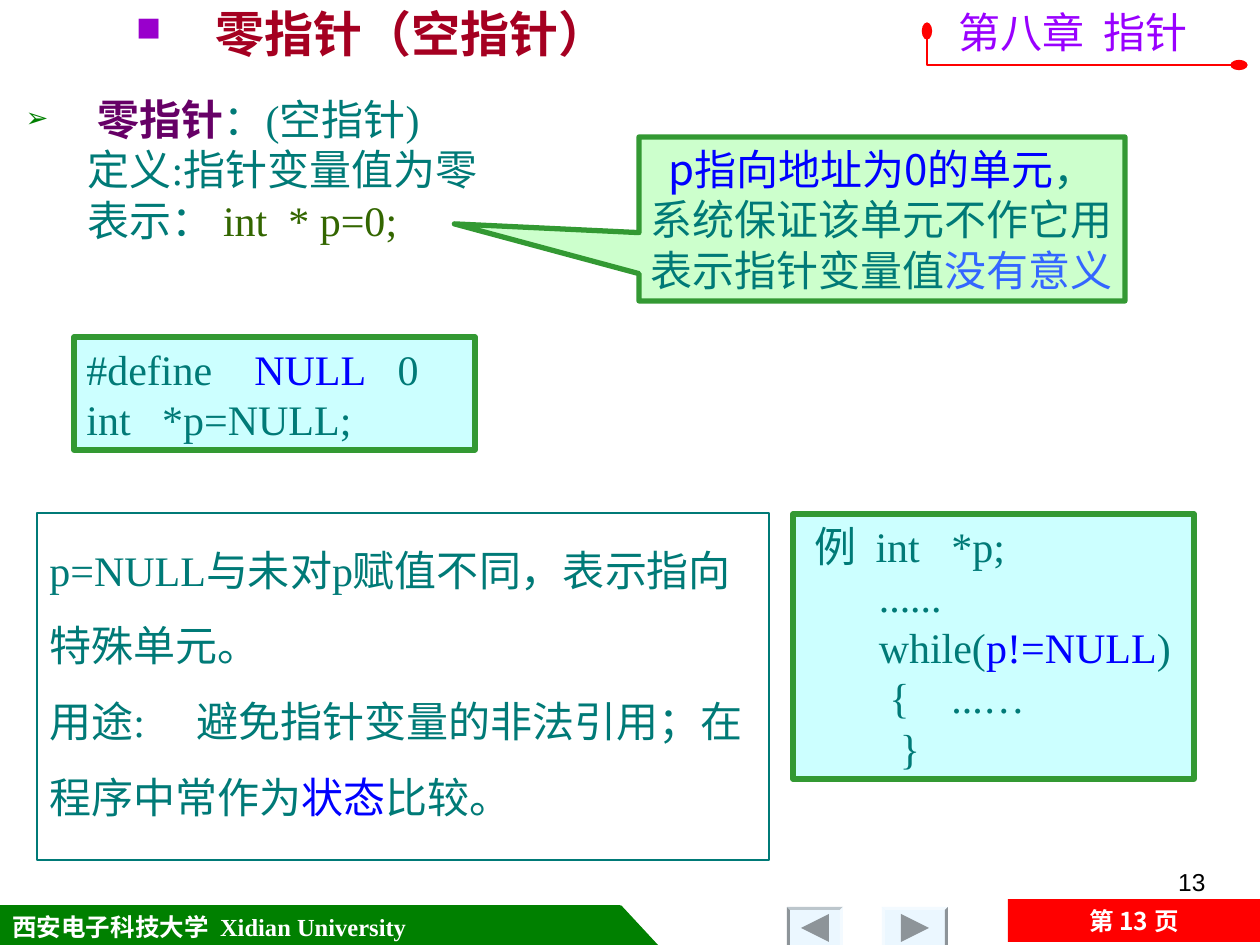
import pptx
import pptx.util
import pptx.dml.color
import pptx.enum.shapes
import pptx.enum.text
import pptx.oxml
import pptx.oxml.ns
from dataclasses import dataclass
from lxml import etree

SCALE = 914400 / 126
SHAPE = pptx.enum.shapes.MSO_SHAPE
ALIGN = pptx.enum.text.PP_ALIGN
ANCHOR = pptx.enum.text.MSO_ANCHOR


@dataclass(frozen=True)
class Theme:
    serif: str = "Times New Roman"
    sans: str = "Arial"
    chinese: str = "Noto Sans CJK SC"
    heading: int = 28
    text: int = 24
    small: int = 14
    teal: str = "007A77"
    blue: str = "0000FF"
    sky: str = "3366FF"
    olive: str = "336600"
    plum: str = "660066"
    crimson: str = "A50021"
    violet: str = "9900FF"
    purple: str = "9900CC"
    green: str = "008000"
    border: str = "339933"
    mint: str = "CCFFCC"
    aqua: str = "CCFFFF"
    red: str = "FF0000"
    white: str = "FFFFFF"
    black: str = "000000"
    face: str = "EBF7FF"
    light: str = "F3FAFF"
    shade: str = "BCC6CC"
    dark: str = "8D9499"


def px(length):
    return pptx.util.Emu(round(length * SCALE))


def rgb(colour):
    return pptx.dml.color.RGBColor.from_string(colour)


def add_xml(parent, tag, **attributes):
    element = etree.SubElement(parent, pptx.oxml.ns.qn(tag))
    for key, value in attributes.items():
        element.set(key, str(value))
    return element


class PageBuilder:
    def __init__(self, deck, theme):
        self.theme = theme
        self.page = deck.slides.add_slide(deck.slide_layouts[1])

    def paint(self, shape, fill=None, line=None, width=0.75):
        shape.shadow.inherit = False
        for target, colour in ((shape.fill, fill), (shape.line.fill, line)):
            if colour:
                target.solid()
                target.fore_color.rgb = rgb(colour)
            else:
                target.background()
        if line:
            shape.line.width = pptx.util.Pt(width)
        return shape

    def set_text(self, box, rows, font, colour, size=None, bold=False, align=ALIGN.LEFT,
                 anchor=ANCHOR.TOP, wrap=True, spacing=1.0, layouts=None, tab=None):
        frame = box.text_frame
        frame.word_wrap = wrap
        frame.auto_size = pptx.enum.text.MSO_AUTO_SIZE.NONE
        frame.vertical_anchor = anchor
        for index, row in enumerate(rows):
            para = frame.paragraphs[0] if index == 0 else frame.add_paragraph()
            para.alignment = align
            para.line_spacing = spacing
            para.space_before = pptx.util.Pt(0)
            if layouts:
                self.indent(para, *layouts[index])
            if tab:
                stops = add_xml(para._p.get_or_add_pPr(), "a:tabLst")
                add_xml(stops, "a:tab", pos=px(tab), algn="l")
            para.font.name = font
            para.font.size = pptx.util.Pt(size or self.theme.text)
            para.font.bold = bold
            para.font.color.rgb = rgb(colour)
            for part in row:
                text, *style = (part,) if isinstance(part, str) else part
                span = para.add_run()
                span.text = text
                if style:
                    span.font.color.rgb = rgb(style[0])
                    span.font.bold = True if "bold" in style else None

    def indent(self, para, margin, bullet=None, colour=None, percent=100):
        properties = para._p.get_or_add_pPr()
        properties.set("marL", str(px(margin)))
        properties.set("indent", str(-px(margin) if bullet else 0))
        if not bullet:
            add_xml(properties, "a:buNone")
            return
        add_xml(add_xml(properties, "a:buClr"), "a:srgbClr", val=colour)
        add_xml(properties, "a:buSzPct", val=percent * 1000)
        add_xml(properties, "a:buChar", char=bullet)

    def placeholder(self, index, area, rows, **style):
        box = self.page.placeholders[index]
        box.left, box.top, box.width, box.height = map(px, area)
        self.set_text(box, rows, **style)

    def label(self, area, rows, **style):
        self.set_text(self.page.shapes.add_textbox(*map(px, area)), rows, **style)

    def panel(self, area, rows=(), kind=SHAPE.RECTANGLE, fill=None, line=None,
              width=3, adjust=(), **style):
        box = self.page.shapes.add_shape(kind, *map(px, area))
        for index, value in enumerate(adjust):
            box.adjustments[index] = value
        self.paint(box, fill, line, width)
        if rows:
            self.set_text(box, rows, **style)

    def outline(self, points, fill=None, line=None, width=0.75, close=True):
        builder = self.page.shapes.build_freeform(*points[0], scale=SCALE)
        builder.add_line_segments(points[1:], close=close)
        return self.paint(builder.convert_to_shape(), fill, line, width)

    def dotted_rule(self, points):
        rule = self.outline(points, line=self.theme.red, width=1.5, close=False)
        for tag in ("a:headEnd", "a:tailEnd"):
            add_xml(rule.line._get_or_add_ln(), tag, type="oval", w="med", len="lg")

    def button(self, left, right, direction, edges):
        top, bottom, bevel = 907, 949, 3
        outer = [(left, top), (right, top), (right, bottom), (left, bottom)]
        inner = [(left + bevel, top + bevel), (right - bevel, top + bevel),
                 (right - bevel, bottom - bevel), (left + bevel, bottom - bevel)]
        self.outline(outer, self.theme.face)
        for side, colour in edges.items():
            after = (side + 1) % 4
            self.outline([outer[side], outer[after], inner[after], inner[side]], colour)
        centre, middle, reach = (left + right) / 2, (top + bottom) / 2, 14
        back, tip = centre - direction * reach, centre + direction * reach
        self.outline([(back, middle - reach), (tip, middle), (back, middle + reach)],
                     self.theme.dark)


def main():
    theme = Theme()
    deck = pptx.Presentation()
    deck.slide_width, deck.slide_height = px(1260), px(945)
    page = PageBuilder(deck, theme)
    code = dict(font=theme.serif, colour=theme.teal, anchor=ANCHOR.MIDDLE, wrap=False,
                fill=theme.aqua, line=theme.border)

    page.panel((0, 906, 620, 42), [["西安电子科技大学  Xidian University"]],
               fill=theme.green, line=theme.green, width=0.75, font=theme.serif,
               colour=theme.white, size=theme.small, bold=True,
               anchor=ANCHOR.MIDDLE, wrap=False)
    page.panel((621, 906, 39, 42), kind=SHAPE.RIGHT_TRIANGLE,
               fill=theme.green, line=theme.green, width=0.75)
    page.button(882, 948, 1, {0: theme.light, 1: theme.dark, 3: theme.light})
    page.button(787, 843, -1, {0: theme.shade, 1: theme.light, 3: theme.dark})
    page.panel((1008, 899, 252, 43), [["第 13 页"]], fill=theme.red, font=theme.chinese,
               colour=theme.white, size=theme.small, bold=True,
               align=ALIGN.CENTER, anchor=ANCHOR.MIDDLE)
    page.label((903, 861, 315, 66), [["13"]], font=theme.sans, colour=theme.black,
               size=theme.small, align=ALIGN.RIGHT)
    page.label((946, 0, 277, 63), [["第八章  指针"]], font=theme.chinese,
               colour=theme.violet, wrap=False)
    page.dotted_rule([(927, 31), (927, 65), (1239, 65)])

    page.placeholder(0, (54, 0, 635, 69), [["零指针（空指针）"]], font=theme.sans,
                     colour=theme.crimson, size=theme.heading, bold=True,
                     align=ALIGN.CENTER, anchor=ANCHOR.BOTTOM,
                     layouts=[(80, "■", theme.purple, 70)])
    page.placeholder(1, (13, 87, 1123, 244),
                     [[("零指针", theme.plum, "bold"), "：(空指针)"],
                      ["定义:指针变量值为零"],
                      ["表示： ", ("int  * p=0;", theme.olive)]],
                     font=theme.serif, colour=theme.teal,
                     layouts=[(72, "➢", theme.green, 65), (62,), (62,)])
    page.panel((639, 137, 486, 164),
               [[("p指向地址为0的单元", theme.blue), "，"],
                ["系统保证该单元不作它用"],
                ["表示指针变量值", ("没有意义", theme.sky)]],
               kind=SHAPE.RECTANGULAR_CALLOUT, adjust=(-0.88, 0.03),
               fill=theme.mint, line=theme.border, font=theme.chinese,
               colour=theme.teal, align=ALIGN.CENTER, anchor=ANCHOR.MIDDLE, wrap=False)
    page.panel((74, 337, 401, 113),
               [["#define    ", ("NULL", theme.blue), "   0"], ["int   *p=NULL;"]], **code)
    page.panel((37, 513, 732, 347),
               [["p=NULL与未对p赋值不同，表示指向特殊单元。"],
                ["用途:\t避免指针变量的非法引用；在程序中常作为",
                 ("状态", theme.blue), "比较。"]],
               line=theme.teal, width=0.75, font=theme.serif, colour=theme.teal,
               spacing=1.5, tab=147)
    page.panel((793, 514, 401, 265),
               [[" 例  int   *p;"],
                ["       ......"],
                ["       while(", ("p!=NULL", theme.blue), ")"],
                ["        {    ...…"],
                ["         }"]], **code)
    deck.save("out.pptx")


if __name__ == "__main__":
    main()
